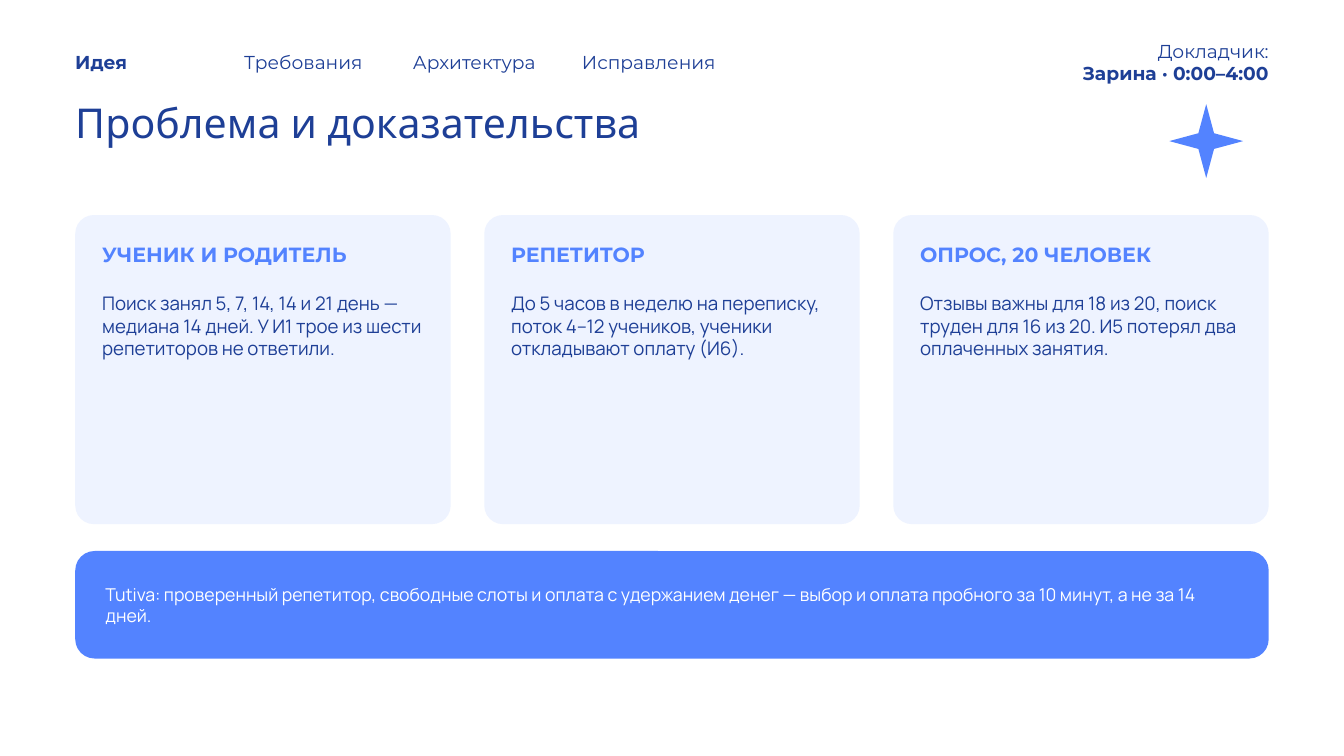
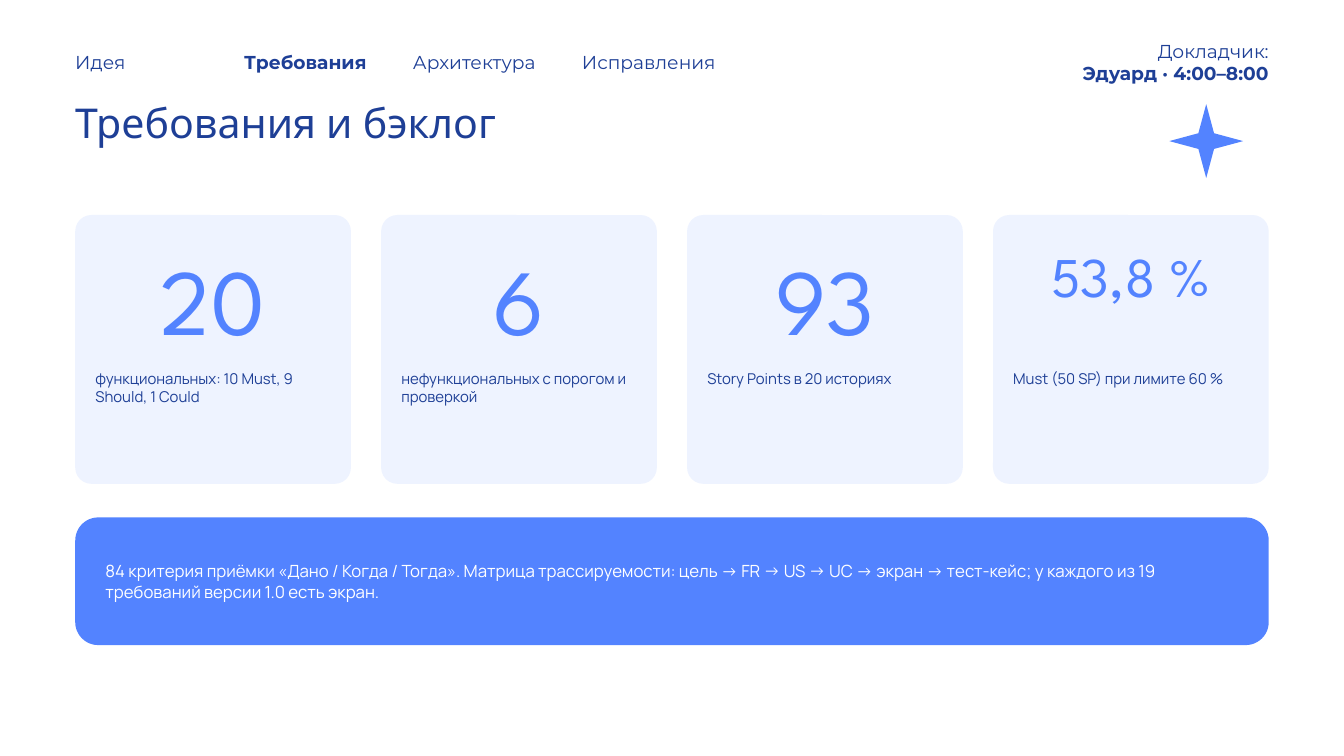
import pptx
import pptx.dml.color
import pptx.enum.shapes
import pptx.enum.text
import pptx.util

Inches = pptx.util.Inches
RGBColor = pptx.dml.color.RGBColor
Align = pptx.enum.text.PP_ALIGN
Anchor = pptx.enum.text.MSO_ANCHOR
Shape = pptx.enum.shapes.MSO_SHAPE

NAVY = RGBColor(0x1E, 0x3F, 0x96)
BLUE = RGBColor(0x53, 0x83, 0xFF)
PALE = RGBColor(0xEE, 0xF3, 0xFF)
WHITE = RGBColor(0xFF, 0xFF, 0xFF)
DISPLAY, BODY, LABEL = "League Spartan", "Manrope", "Montserrat"
LEFT, WIDTH, CARD_TOP = 1.12, 17.76, 3.2
SECTIONS = ("Идея", "Требования", "Архитектура", "Исправления")

PROBLEMS = (
    ("УЧЕНИК И РОДИТЕЛЬ",
     "Поиск занял 5, 7, 14, 14 и 21 день — медиана 14 дней. "
     "У И1 трое из шести репетиторов не ответили."),
    ("РЕПЕТИТОР",
     "До 5 часов в неделю на переписку, поток 4–12 учеников, "
     "ученики откладывают оплату (И6)."),
    ("ОПРОС, 20 ЧЕЛОВЕК",
     "Отзывы важны для 18 из 20, поиск труден для 16 из 20. "
     "И5 потерял два оплаченных занятия."),
)
METRICS = (
    ("20", 100, "функциональных: 10 Must, 9 Should, 1 Could"),
    ("6", 100, "нефункциональных с порогом и проверкой"),
    ("93", 100, "Story Points в 20 историях"),
    ("53,8 %", 60, "Must (50 SP) при лимите 60 %"),
)


class Presenter:
    """Holds the shared style and the current page of the deck."""

    def __init__(self):
        self.deck = pptx.Presentation()
        self.deck.slide_width = Inches(20)
        self.deck.slide_height = Inches(11.25)
        self.page = None

    def text(self, words, left, top, width, height, size, font=LABEL,
             color=NAVY, bold=False, align=Align.LEFT, anchor=Anchor.TOP, after=0):
        box = self.page.shapes.add_textbox(
            Inches(left), Inches(top), Inches(width), Inches(height))
        frame = box.text_frame
        frame_format = dict(
            margin_left=0, margin_top=0, margin_right=0, margin_bottom=0,
            word_wrap=True, vertical_anchor=anchor,
            auto_size=pptx.enum.text.MSO_AUTO_SIZE.SHAPE_TO_FIT_TEXT)
        para = frame.paragraphs[0]
        para_format = dict(alignment=align, space_after=pptx.util.Pt(after))
        span = para.add_run()
        span.text = words
        span_format = dict(name=font, size=pptx.util.Pt(size), bold=bold)
        for target, values in ((frame, frame_format), (para, para_format),
                               (span.font, span_format)):
            for key, value in values.items():
                setattr(target, key, value)
        span.font.color.rgb = color

    def shape(self, kind, left, top, width, height, color, adjustment):
        shape = self.page.shapes.add_shape(
            kind, Inches(left), Inches(top), Inches(width), Inches(height))
        shape.shadow.inherit = False
        shape.adjustments[0] = adjustment
        shape.fill.solid()
        shape.fill.fore_color.rgb = color
        shape.line.fill.background()

    def start(self, section, title, speaker):
        self.page = self.deck.slides.add_slide(self.deck.slide_layouts[6])
        for index, name in enumerate(SECTIONS):
            self.text(name, LEFT + 2.513 * index, 0.75, 2.3, 0.4, 20,
                      bold=name == section, after=6)
        self.text("Докладчик:", 14.4, 0.59, 4.48, 0.37, 20, align=Align.RIGHT)
        self.text(speaker, 14.4, 0.92, 4.48, 0.37, 20, bold=True, align=Align.RIGHT)
        self.text(title, LEFT, 1.45, 15.2, 1.3, 44, DISPLAY)
        self.shape(Shape.STAR_4_POINT, 17.4, 1.55, 1.1, 1.1, BLUE, 0.15)

    def cards(self, count, gap, height):
        width = (WIDTH - gap * (count - 1)) / count
        for index in range(count):
            left = LEFT + index * (width + gap)
            self.shape(Shape.ROUNDED_RECTANGLE, left, CARD_TOP, width, height, PALE, 0.06)
            yield left, width

    def problem_cards(self, problems):
        for (left, width), (heading, detail) in zip(
                self.cards(len(problems), 0.5, 4.6), problems):
            self.text(heading, left + 0.4, CARD_TOP + 0.4, width - 0.8, 0.6, 22,
                      color=BLUE, bold=True)
            self.text(detail, left + 0.4, CARD_TOP + 1.15, width - 0.8, 3.15, 20, BODY)

    def metric_cards(self, metrics):
        for (left, width), (figure, size, caption) in zip(
                self.cards(len(metrics), 0.45, 4), metrics):
            self.text(figure, left, CARD_TOP + 0.4, width, 1.6, size, DISPLAY, BLUE,
                      align=Align.CENTER)
            self.text(caption, left + 0.3, CARD_TOP + 2.3, width - 0.6, 1.6, 16, BODY)

    def banner(self, words, top, height, size):
        self.shape(Shape.ROUNDED_RECTANGLE, LEFT, top, WIDTH, height, BLUE, 0.18)
        self.text(words, LEFT + 0.45, top, WIDTH - 0.9, height, size, BODY, WHITE,
                  anchor=Anchor.MIDDLE)


def main():
    show = Presenter()
    show.start("Идея", "Проблема и доказательства", "Зарина · 0:00–4:00")
    show.problem_cards(PROBLEMS)
    show.banner("Tutiva: проверенный репетитор, свободные слоты и оплата с удержанием "
                "денег — выбор и оплата пробного за 10 минут, а не за 14 дней.",
                8.2, 1.6, 19)

    show.start("Требования", "Требования и бэклог", "Эдуард · 4:00–8:00")
    show.metric_cards(METRICS)
    show.banner("84 критерия приёмки «Дано / Когда / Тогда». Матрица трассируемости: "
                "цель → FR → US → UC → экран → тест-кейс; у каждого из 19 требований "
                "версии 1.0 есть экран.", 7.7, 1.9, 18)
    show.deck.save("out.pptx")


if __name__ == "__main__":
    main()
